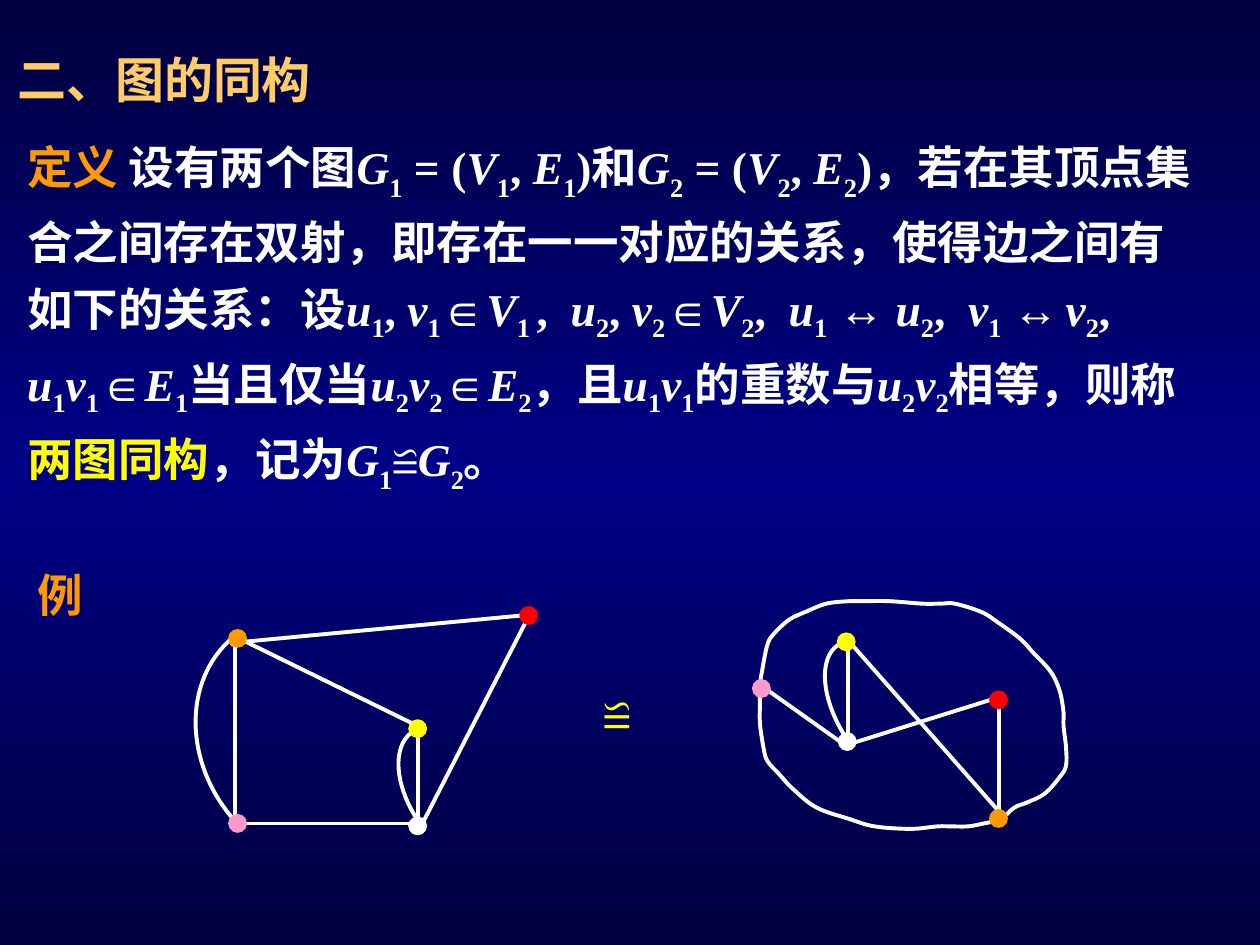
from copy import deepcopy

from lxml.etree import SubElement
from pptx import Presentation
from pptx.dml.color import RGBColor
from pptx.enum.shapes import MSO_CONNECTOR, MSO_SHAPE
from pptx.enum.text import MSO_ANCHOR, MSO_AUTO_SIZE, PP_ALIGN
from pptx.oxml.ns import qn
from pptx.util import Cm, Pt

LATIN, CHINESE = "Times New Roman", "Noto Sans CJK SC"
WHITE, ORANGE, YELLOW, RED, PINK = "FFFFFF", "FF9900", "FFFF00", "FF0000", "FF99CC"
EDGE_WIDTH = Pt(2.25)
VERTEX_SIZE = 0.38

# Colour, subscript depth, runs split by "|": ~ italic, _ subscript, ^ small
DEFINITION = [
    (ORANGE, -30, "定义 "),
    (WHITE, -30, "设有两个图|~G|_1| = (|~V|_1|, |~E|_1|)|和|~G|_2| = (|~V|_2|, |~E|_2|)"
                 "|，若在其顶点集合之间存在双射，即存在一一对应的关系，使得边之间有如下的关系：设"),
    (WHITE, -25, "~u|_1|, |~v|_1|∈|~V|_1 |,  |~u|_2|, |~v|_2|∈|~V|_2|,  "
                 "|~u|_1| ↔ |~u|_2|,  |~v|_1| ↔|^ |~v|_2|,"
                 "|~ u|_1|~v|_1|∈|~E|_1|当且仅当|~u|_2|~v|_2|∈|~E|_2"
                 "|，且|~u|_1|~v|_1|的重数与|~u|_2|~v|_2|相等，则称"),
    (YELLOW, -30, "两图同构"),
    (WHITE, -30, "，记为|~G|_1|≌|~G|_2|。"),
]

# Edges: start, end, arrowhead ends drawn as ovals
EDGES = [
    ((17.09, 12.88), (17.09, 15.01), ("headEnd", "tailEnd")),
    ((20.14, 14.05), (20.14, 16.43), ("headEnd", "tailEnd")),
    ((17.09, 12.9), (20.14, 16.36), ()),
    ((20.09, 14.07), (17.09, 15.01), ()),
    ((15.37, 13.84), (17.09, 15.06), ("headEnd",)),
    ((4.74, 12.93), (4.74, 16.61), ("headEnd", "tailEnd")),
    ((8.42, 14.63), (8.42, 16.66), ("headEnd", "tailEnd")),
    ((4.78, 16.6), (8.42, 16.6), ()),
    ((4.78, 12.95), (10.59, 12.4), ("tailEnd",)),
    ((10.67, 12.4), (8.46, 16.71), ("headEnd",)),
    ((4.78, 12.85), (8.51, 14.68), ()),
]

# Bent parallel edges: left, top, width, height, rotation of a quarter ellipse
BENT_EDGES = [
    (16.15, 13.49, 1.65, 0.89, 236.8),
    (3.3, 13.51, 2.77, 2.36, 229.1),
    (7.59, 15.21, 1.57, 0.91, 235.5),
]

OUTER_LOOP = [
    (15.32, 14.58), (15.32, 14.2), (15.32, 13.82), (15.37, 13.49), (15.47, 13.0),
    (15.6, 12.78), (15.9, 12.5), (16.23, 12.34), (16.66, 12.17), (17.12, 12.12),
    (17.37, 12.12), (17.93, 12.12), (18.59, 12.17), (18.97, 12.17), (19.25, 12.17),
    (19.79, 12.34), (20.12, 12.55), (20.57, 12.88), (20.83, 13.16), (21.18, 13.54),
    (21.36, 13.92), (21.44, 14.35), (21.44, 14.63), (21.49, 15.06), (21.49, 15.44),
    (21.36, 15.67), (21.06, 16.0), (20.7, 16.18), (20.45, 16.28), (20.17, 16.51),
    (19.79, 16.61), (19.51, 16.66), (19.18, 16.66), (18.9, 16.66), (18.36, 16.71),
    (17.63, 16.66), (17.12, 16.51), (16.46, 16.28), (15.98, 15.9), (15.72, 15.62),
    (15.47, 15.34), (15.39, 15.06),
]

VERTICES = [
    (4.79, 12.87, ORANGE), (10.66, 12.41, RED), (4.79, 16.6, PINK),
    (8.42, 16.65, WHITE), (8.42, 14.69, YELLOW),
    (20.13, 16.5, ORANGE), (20.13, 14.11, RED), (17.06, 12.94, YELLOW),
    (17.08, 14.95, WHITE), (15.35, 13.88, PINK),
]


def color(hex_value):
    return RGBColor.from_string(hex_value)


def apply(target, formats):
    for name, value in formats.items():
        setattr(target, name, value)


def paint_background(slide):
    fill = slide.background.fill
    fill.gradient()
    fill.gradient_angle = 270
    stop_list = slide.element.find(".//" + qn("a:gsLst"))
    stop_list.insert(1, deepcopy(stop_list[0]))
    for stop, position, shade in zip(fill.gradient_stops, (0, 0.5, 1),
                                     ("00003E", "000086", "00003E")):
        stop.position = position
        stop.color.rgb = color(shade)


def add_run(paragraph, text, shade, size, **formats):
    run = paragraph.add_run()
    run.text = text
    is_chinese = any(char >= "\u3000" for char in text)
    apply(run.font, {"name": CHINESE if is_chinese else LATIN,
                     "size": Pt(size), "bold": True, **formats})
    run.font.color.rgb = color(shade)
    SubElement(run.font._element, qn("a:ea"), typeface=CHINESE)
    return run


def add_text(slide, left, top, width, height, paragraph_formats=None, **frame_formats):
    """Add a text box and return its empty first paragraph."""
    frame = slide.shapes.add_textbox(Cm(left), Cm(top), Cm(width), Cm(height)).text_frame
    apply(frame, {"word_wrap": True, **frame_formats})
    paragraph = frame.paragraphs[0]
    apply(paragraph, paragraph_formats or {})
    return paragraph


def write_definition(paragraph):
    for shade, depth, markup in DEFINITION:
        for piece in markup.split("|"):
            mark = piece[0] if piece[0] in "~_^" else ""
            run = add_run(paragraph, piece[len(mark):], shade,
                          16 if mark == "^" else 26, italic=mark == "~")
            if mark == "_":
                run.font._element.set("baseline", str(depth * 1000))


def add_edge(slide, start, end, oval_ends):
    edge = slide.shapes.add_connector(
        MSO_CONNECTOR.STRAIGHT, *(Cm(value) for value in start + end))
    edge.line.color.rgb = color(WHITE)
    edge.line.width = EDGE_WIDTH
    for tag in oval_ends:
        SubElement(edge.line._get_or_add_ln(), qn("a:" + tag), type="oval")
    SubElement(edge._element.spPr, qn("a:effectLst"))


def add_curve(slide, start, points, close=False):
    """Draw cubic curves; points holds two controls and an end for each."""
    builder = slide.shapes.build_freeform(Cm(start[0]), Cm(start[1]))
    builder.add_line_segments([(Cm(x), Cm(y)) for x, y in points], close=close)
    curve = builder.convert_to_shape()
    segments = list(curve._element.iter(qn("a:lnTo")))
    for first in range(0, len(segments), 3):
        cubic, *others = segments[first:first + 3]
        cubic.tag = qn("a:cubicBezTo")
        for segment in others:
            cubic.append(segment[0])
            segment.getparent().remove(segment)
    curve.shadow.inherit = False
    curve.fill.background()
    curve.line.color.rgb = color(WHITE)
    curve.line.width = EDGE_WIDTH
    return curve


def add_bent_edge(slide, left, top, width, height, rotation):
    right, bottom = left + width, top + height
    curve = add_curve(slide, (left, top), [(left + 0.55 * width, top),
                                           (right, top + 0.45 * height), (right, bottom)])
    curve.rotation = rotation


def smooth_loop(anchors):
    """Controls and ends of a closed smooth curve through all anchors."""
    for i, start in enumerate(anchors):
        before = anchors[i - 1]
        end, after = (anchors[(i + k) % len(anchors)] for k in (1, 2))
        yield tuple(s + (e - b) / 6 for b, s, e in zip(before, start, end))
        yield tuple(e - (a - s) / 6 for s, e, a in zip(start, end, after))
        yield end


def add_vertex(slide, x, y, shade):
    vertex = slide.shapes.add_shape(
        MSO_SHAPE.OVAL, Cm(x - VERTEX_SIZE / 2), Cm(y - VERTEX_SIZE / 2),
        Cm(VERTEX_SIZE), Cm(VERTEX_SIZE))
    vertex.shadow.inherit = False
    vertex.fill.solid()
    vertex.fill.fore_color.rgb = color(shade)
    vertex.line.fill.background()


def main():
    deck = Presentation()
    apply(deck, {"slide_width": Cm(25.4), "slide_height": Cm(19.05)})
    slide = deck.slides.add_slide(deck.slide_layouts[6])
    paint_background(slide)

    spaced, grow = {"line_spacing": 1.2}, MSO_AUTO_SIZE.SHAPE_TO_FIT_TEXT
    heading = add_text(slide, 0.1, 0.64, 9.8, 1.68, spaced, auto_size=grow)
    add_run(heading, "二、图的同构", "FFCC66", 28)
    write_definition(add_text(slide, 0.3, 2.41, 24.31, 7.7, spaced, auto_size=grow,
                              vertical_anchor=MSO_ANCHOR.MIDDLE))
    example = add_text(slide, 0.51, 11.3, 1.42, 1.37, word_wrap=False, auto_size=grow)
    add_run(example, "例", ORANGE, 26)
    isomorphic = add_text(slide, 11.91, 13.64, 2.18, 1.47, {"alignment": PP_ALIGN.JUSTIFY})
    add_run(isomorphic, "≌", YELLOW, 28)

    for edge in EDGES:
        add_edge(slide, *edge)
    for bent_edge in BENT_EDGES:
        add_bent_edge(slide, *bent_edge)
    add_curve(slide, OUTER_LOOP[0], smooth_loop(OUTER_LOOP), close=True)
    for vertex in VERTICES:
        add_vertex(slide, *vertex)

    deck.save("out.pptx")


if __name__ == "__main__":
    main()
